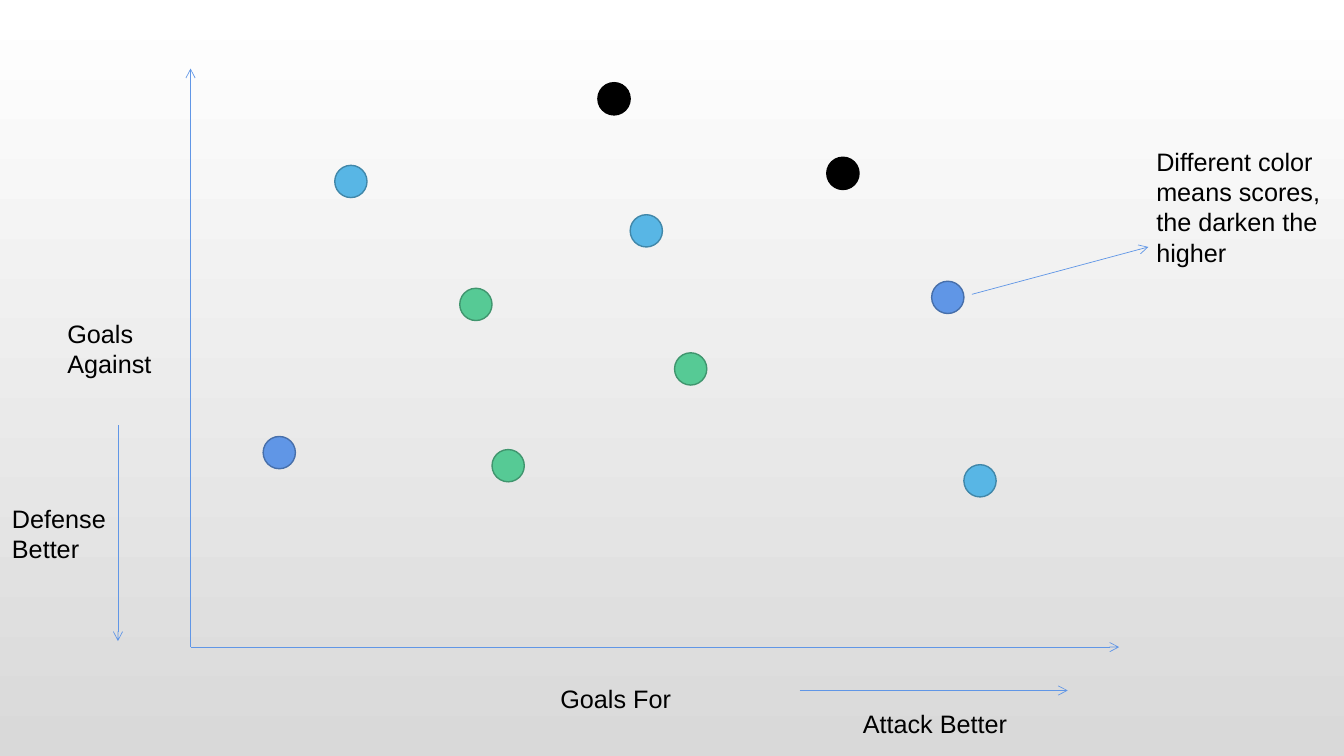
from dataclasses import dataclass

from lxml.etree import SubElement
from pptx import Presentation
from pptx.dml.color import RGBColor
from pptx.enum.shapes import MSO_CONNECTOR, MSO_SHAPE
from pptx.enum.text import MSO_AUTO_SIZE
from pptx.oxml.ns import qn
from pptx.util import Inches, Pt


@dataclass(frozen=True)
class Theme:
    """Colours, font and sizes of the slide."""
    font: str = "Arial"
    text_size: float = 18
    text: str = "000000"
    arrow: str = "6096E6"
    arrow_width: float = 0.5
    dot_size: float = 0.32
    dot_line: float = 1
    bg_top: str = "FFFFFF"
    bg_bottom: str = "D9D9D9"
    black: tuple = ("000000", "000000")
    blue: tuple = ("6096E6", "476FAA")
    sky: tuple = ("58B6E5", "4187A9")
    green: tuple = ("56CA95", "40956E")


THEME = Theme()

TEAMS = [
    (3.32, 1.64, THEME.sky),
    (6.25, 2.13, THEME.sky),
    (4.56, 2.86, THEME.green),
    (4.88, 4.46, THEME.green),
    (5.93, 0.82, THEME.black),
    (6.69, 3.5, THEME.green),
    (8.2, 1.56, THEME.black),
    (9.24, 2.79, THEME.blue),
    (2.61, 4.33, THEME.blue),
    (9.56, 4.61, THEME.sky),
]

ORIGIN = (1.89, 6.42)
ARROWS = [
    (ORIGIN, (1.89, 0.68)),
    (ORIGIN, (11.1, 6.42)),
    ((9.64, 2.92), (11.39, 2.45)),
    ((7.93, 6.85), (10.59, 6.85)),
    ((1.17, 4.22), (1.17, 6.36)),
]

LABELS = [
    ((0.57, 3.11, 1.1, 0.71), ["Goals", "Against"], True),
    ((5.46, 6.73, 2.23, 0.4), ["Goals For"], True),
    ((11.37, 1.4, 1.97, 1.31),
     ["Different color means scores,", "the darken the higher"], True),
    ((0.02, 4.94, 1.15, 0.71), ["Defense Better"], True),
    ((8.46, 6.98, 1.63, 0.4), ["Attack Better"], False),
]


def rgb(code):
    """Turn a hex code into a colour."""
    return RGBColor.from_string(code)


def set_background(s):
    """Fill the slide with a gradient running from top to bottom."""
    fill = s.background.fill
    fill.gradient()
    fill.gradient_angle = 270
    for stop, code in zip(fill.gradient_stops, (THEME.bg_top, THEME.bg_bottom)):
        stop.color.rgb = rgb(code)


def add_arrow(s, start, end):
    """Draw a thin arrow between two points."""
    points = [Inches(v) for v in (*start, *end)]
    sp = s.shapes.add_connector(MSO_CONNECTOR.STRAIGHT, *points)
    sp.line.color.rgb = rgb(THEME.arrow)
    sp.line.width = Pt(THEME.arrow_width)
    SubElement(sp.line._get_or_add_ln(), qn("a:tailEnd"), type="arrow")
    SubElement(sp._element.spPr, qn("a:effectLst"))


def add_dot(s, left, top, colors):
    """Place a team dot whose colour stands for its score."""
    size = Inches(THEME.dot_size)
    sp = s.shapes.add_shape(MSO_SHAPE.OVAL, Inches(left), Inches(top), size, size)
    fill, line = colors
    sp.shadow.inherit = False
    sp.fill.solid()
    sp.fill.fore_color.rgb = rgb(fill)
    sp.line.color.rgb = rgb(line)
    sp.line.width = Pt(THEME.dot_line)


def add_label(s, box, lines, wrap):
    """Write a label with one paragraph per line."""
    tf = s.shapes.add_textbox(*[Inches(v) for v in box]).text_frame
    tf.word_wrap = wrap
    tf.auto_size = MSO_AUTO_SIZE.SHAPE_TO_FIT_TEXT
    for i, line in enumerate(lines):
        p = tf.add_paragraph() if i else tf.paragraphs[0]
        r = p.add_run()
        r.text = line
        r.font.name = THEME.font
        r.font.size = Pt(THEME.text_size)
        r.font.color.rgb = rgb(THEME.text)


def main():
    """Build the slide and save it."""
    prs = Presentation()
    prs.slide_width, prs.slide_height = Inches(13.33), Inches(7.5)
    s = prs.slides.add_slide(prs.slide_layouts[6])
    set_background(s)
    for start, end in ARROWS:
        add_arrow(s, start, end)
    for left, top, colors in TEAMS:
        add_dot(s, left, top, colors)
    for box, lines, wrap in LABELS:
        add_label(s, box, lines, wrap)
    prs.save("out.pptx")


main()
